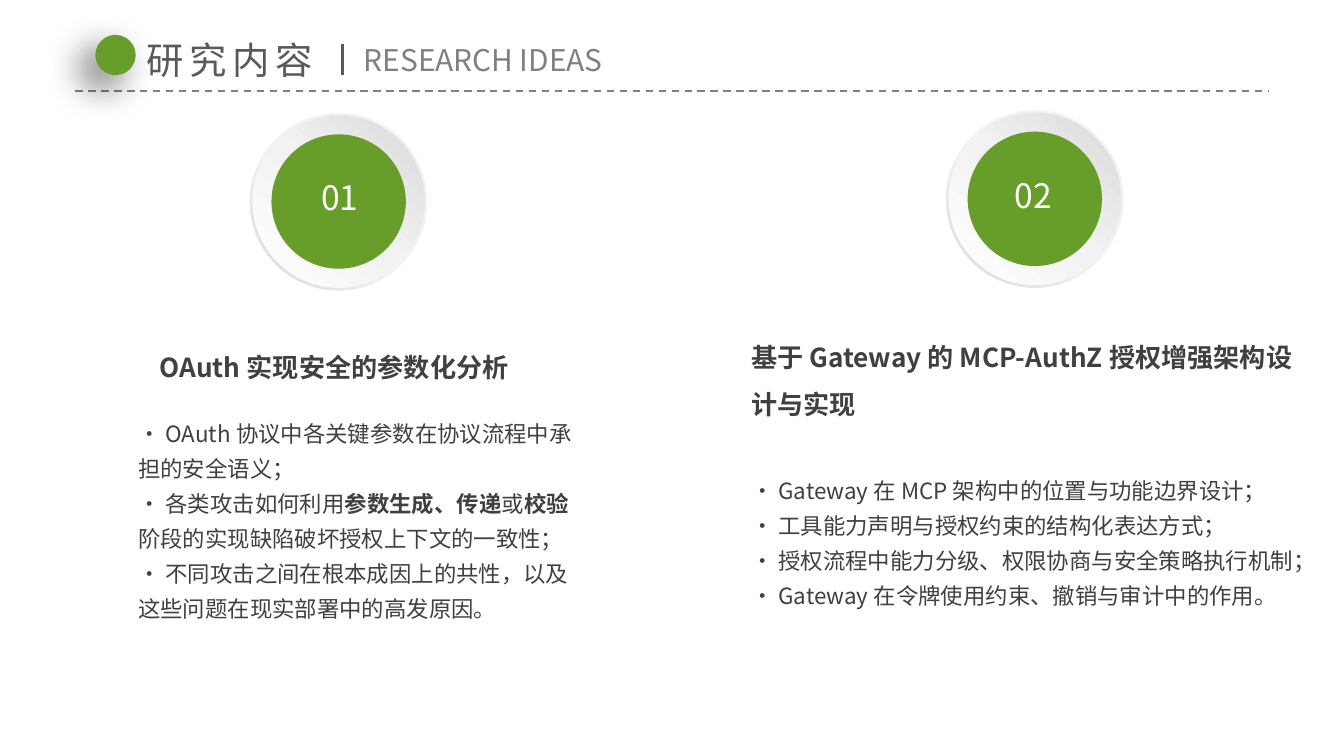
from lxml.etree import SubElement
from pptx import Presentation
from pptx.dml.color import RGBColor
from pptx.enum.dml import MSO_LINE
from pptx.enum.shapes import MSO_CONNECTOR, MSO_SHAPE
from pptx.enum.text import MSO_ANCHOR, MSO_AUTO_SIZE, PP_ALIGN
from pptx.oxml.ns import qn
from pptx.util import Inches, Pt

FONT = "Noto Sans CJK SC"
SLIDE_WIDTH = 10
SLIDE_HEIGHT = SLIDE_WIDTH * 9 / 16
COLORS = {
    "green": "679E2A", "white": "FFFFFF", "black": "000000",
    "title": "595959", "muted": "808080", "body": "404040",
    "light": "F2F2F2", "shade": "D9D9D9",
}

# Content: each paragraph is a list of (text, bold) runs
TITLE = "研究内容"
SUBTITLE = "RESEARCH IDEAS"
TOPICS = [
    {
        "number": "01", "center": (2.52, 1.5), "number_box": (2.29, 1.27, 0.62, 0.4),
        "heading": "OAuth 实现安全的参数化分析", "heading_box": (1.09, 2.5, 3.25, 0.35),
        "points_box": (0.93, 3.02, 3.55, 2.4),
        "points": [
            [("• OAuth 协议中各关键参数在协议流程中承担的安全语义；", False)],
            [("• 各类攻击如何利用", False), ("参数生成、传递", True), ("或", False),
             ("校验", True), ("阶段的实现缺陷破坏授权上下文的一致性；", False)],
            [("• 不同攻击之间在根本成因上的共性，以及这些问题在现实部署中的高发原因。", False)],
        ],
    },
    {
        "number": "02", "center": (7.7, 1.48), "number_box": (7.45, 1.25, 0.54, 0.4),
        "heading": "基于 Gateway 的 MCP-AuthZ 授权增强架构设计与实现",
        "heading_box": (5.49, 2.42, 4.31, 0.71),
        "points_box": (5.49, 3.44, 4.26, 1.15),
        "points": [
            [("• Gateway 在 MCP 架构中的位置与功能边界设计；", False)],
            [("• 工具能力声明与授权约束的结构化表达方式；", False)],
            [("• 授权流程中能力分级、权限协商与安全策略执行机制；", False)],
            [("• Gateway 在令牌使用约束、撤销与审计中的作用。", False)],
        ],
    },
]
RIM_STOPS = [(0, "light"), (55, "light"), (100, "shade")]
DISH_STOPS = [(0, "white"), (51, "light"), (100, "shade")]


def rgb(name):
    return RGBColor.from_string(COLORS[name])


def place(shape, box):
    shape.left, shape.top, shape.width, shape.height = map(Inches, box)


def write(shape, paragraphs, size, color, spacing=None, wrap=True, inset=0.05, tracking=None):
    frame = shape.text_frame
    frame.word_wrap = wrap
    frame.auto_size = MSO_AUTO_SIZE.NONE
    frame.vertical_anchor = MSO_ANCHOR.TOP
    frame.margin_left = frame.margin_right = Inches(0.1)
    frame.margin_top = frame.margin_bottom = Inches(inset)
    for index, runs in enumerate(paragraphs):
        para = frame.add_paragraph() if index else frame.paragraphs[0]
        para.alignment = PP_ALIGN.LEFT
        if spacing:
            para.line_spacing = spacing
        for text, bold in runs:
            span = para.add_run()
            span.text = text
            font = span.font
            font.name, font.size, font.bold = FONT, Pt(size), bold
            font.color.rgb = rgb(color)
            properties = span._r.get_or_add_rPr()
            properties.set("lang", "zh-CN")
            if tracking:
                properties.set("spc", str(tracking * 100))
            east_asian = properties.makeelement(qn("a:ea"), {"typeface": FONT})
            properties.find(qn("a:latin")).addnext(east_asian)


def add_text(slide, box, *args, **options):
    shape = slide.shapes.add_textbox(*map(Inches, box))
    write(shape, *args, **options)


def add_line(slide, start, end, color, width, dash=None):
    line = slide.shapes.add_connector(
        MSO_CONNECTOR.STRAIGHT, *map(Inches, start + end))
    line.line.color.rgb = rgb(color)
    line.line.width = Pt(width)
    if dash:
        line.line.dash_style = dash
    SubElement(line._element.spPr, qn("a:effectLst"))


def add_round(slide, kind, center, diameter, color=None):
    x, y = center
    shape = slide.shapes.add_shape(
        kind, Inches(x - diameter / 2), Inches(y - diameter / 2),
        Inches(diameter), Inches(diameter))
    shape.shadow.inherit = False
    shape.line.fill.background()
    if color:
        shape.fill.solid()
        shape.fill.fore_color.rgb = rgb(color)
    return shape


def add_gradient(shape, stops, angle):
    geometry = shape._element.spPr.find(qn("a:prstGeom"))
    gradient = geometry.makeelement(qn("a:gradFill"), {"rotWithShape": "1"})
    geometry.addnext(gradient)
    stop_list = SubElement(gradient, qn("a:gsLst"))
    for position, color in stops:
        stop = SubElement(stop_list, qn("a:gs"), pos=str(position * 1000))
        SubElement(stop, qn("a:srgbClr"), val=COLORS[color])
    SubElement(gradient, qn("a:lin"), ang=str(angle * 60000), scaled="0")


def add_shadow(shape, color, opacity, blur, distance, angle):
    effects = shape._element.spPr.find(qn("a:effectLst"))
    shadow = SubElement(
        effects, qn("a:outerShdw"), blurRad=str(Pt(blur)), dist=str(Pt(distance)),
        dir=str(angle * 60000), algn="tr", rotWithShape="0")
    tint = SubElement(shadow, qn("a:srgbClr"), val=COLORS[color])
    SubElement(tint, qn("a:alpha"), val=str(opacity * 1000))


def add_badge(slide, center):
    rim = add_round(slide, MSO_SHAPE.DONUT, center, 1.32)
    rim.adjustments[0] = 0.05
    add_gradient(rim, RIM_STOPS, 135)
    dish = add_round(slide, MSO_SHAPE.OVAL, center, 1.28)
    add_gradient(dish, DISH_STOPS, 315)
    add_round(slide, MSO_SHAPE.OVAL, center, 1, "green")


def main():
    deck = Presentation()
    deck.slide_width, deck.slide_height = Inches(SLIDE_WIDTH), Inches(SLIDE_HEIGHT)
    slide = deck.slides.add_slide(deck.slide_layouts[5])

    # Header
    add_line(slide, (0.56, 0.68), (9.44, 0.68), "muted", 1, MSO_LINE.DASH)
    dot = add_round(slide, MSO_SHAPE.OVAL, (0.86, 0.41), 0.3, "green")
    add_shadow(dot, "black", 60, 20, 10, 135)
    title = slide.shapes.title
    place(title, (0.99, 0.23, 1.48, 0.44))
    write(title, [[(TITLE, False)]], 20, "title", wrap=False, tracking=3)
    add_text(slide, (2.61, 0.26, 2.07, 0.37), [[(SUBTITLE, False)]], 16, "muted", wrap=False)
    add_line(slide, (2.55, 0.33), (2.55, 0.56), "title", 1.5)

    # Topics: numbered badge, heading, points
    for topic in TOPICS:
        add_badge(slide, topic["center"])
        add_text(slide, topic["number_box"], [[(topic["number"], False)]], 18, "white")
        add_text(slide, topic["heading_box"], [[(topic["heading"], True)]], 14, "body",
                 spacing=1.5, inset=0)
        add_text(slide, topic["points_box"], topic["points"], 12, "body", spacing=1.3)

    deck.save("out.pptx")


if __name__ == "__main__":
    main()
